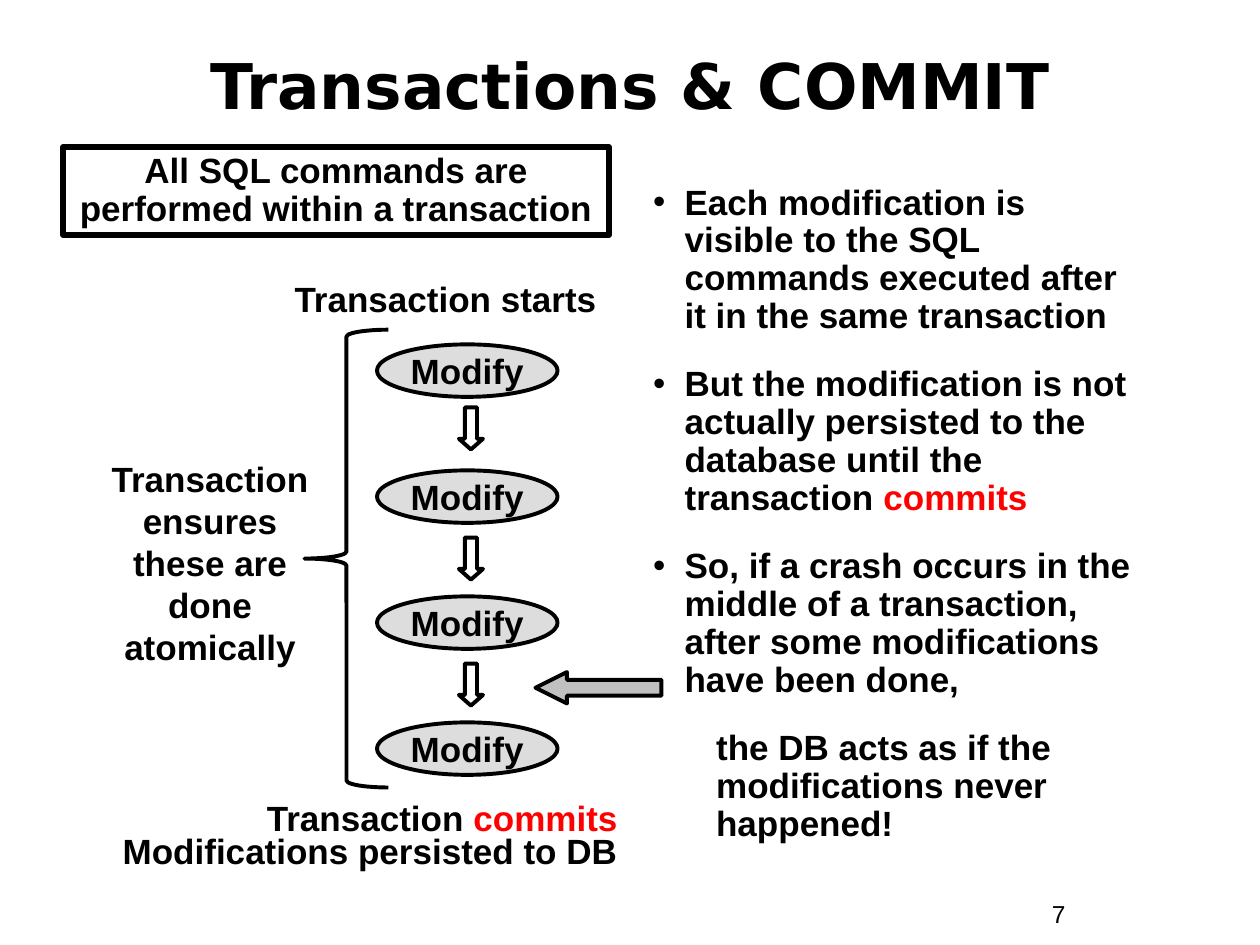
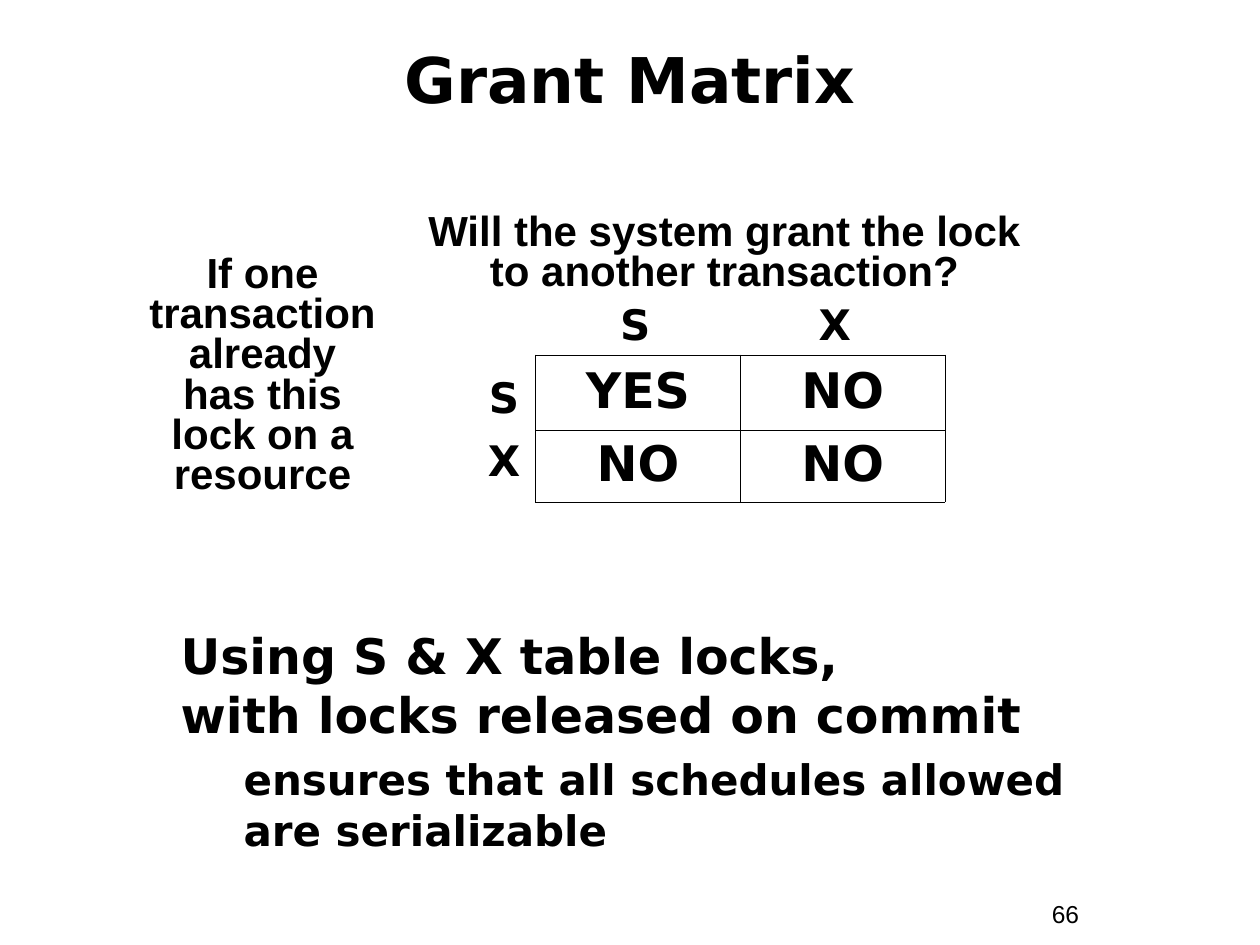
"""Build two slides on database transactions and lock granting."""
from lxml import etree
from pptx import Presentation, util as u
from pptx.dml.color import RGBColor
from pptx.enum import shapes, text
from pptx.oxml import ns

COLORS = {"ink": "000000", "accent": "FF0000", "step": "DDDDDD",
          "crash": "C0C0C0", "paper": "FFFFFF"}
SANS, DISPLAY = "Arial", "DejaVu Sans"
LEFT, CENTER, RIGHT = text.PP_ALIGN.LEFT, text.PP_ALIGN.CENTER, text.PP_ALIGN.RIGHT
TOP, MIDDLE = text.MSO_ANCHOR.TOP, text.MSO_ANCHOR.MIDDLE
COLUMNS = 120

COMMIT = {
    "title": "Transactions & COMMIT",
    "number": "7",
    "rule": "All SQL commands are performed within a transaction",
    "steps": ["Modify"] * 4,
    "start": "Transaction starts",
    "end": "Transaction *commits*\nModifications persisted to DB",
    "atomic": "Transaction ensures these are done\natomically",
    "points": [
        "Each modification is visible to the SQL commands executed after it "
        "in the same transaction",
        "But the modification is not actually persisted to the database until "
        "the transaction *commits*",
        "So, if a crash occurs in the middle of a transaction, after some "
        "modifications have been done,",
    ],
    "outcome": "the DB acts as if the modifications never happened!",
}
GRANT = {
    "title": "Grant Matrix",
    "number": "66",
    "locks": ["S", "X"],
    "answers": [["YES", "NO"], ["NO", "NO"]],
    "held": "If one transaction already has this lock on a resource",
    "question": "Will the system grant the lock to another transaction?",
    "claim": "Using S & X table locks,\nwith locks released on commit",
    "result": "ensures that all schedules allowed\nare serializable",
}

deck = Presentation()
deck.slide_width, deck.slide_height = u.Inches(10), u.Inches(7.5)
UNIT = deck.slide_width / COLUMNS


def grid(*cells):
    """Turn grid cells into slide lengths."""
    return [round(cell * UNIT) for cell in cells]


def color(name):
    """Look up a palette colour."""
    return RGBColor.from_string(COLORS[name])


def add_text(frame, words, size=20, font=SANS, bold=True, align=LEFT, spacing=1.0,
             before=0, margin=0, bullet=False, more=False):
    """Write one paragraph; *stars* mark accented words."""
    paragraph = frame.add_paragraph() if more else frame.paragraphs[0]
    properties = paragraph._p.get_or_add_pPr()
    properties.set("marL", str(u.Inches(margin)))
    properties.set("indent", str(u.Inches(-margin if bullet else 0)))
    if bullet:
        etree.SubElement(properties, ns.qn("a:buFont"), typeface=SANS)
        etree.SubElement(properties, ns.qn("a:buChar"), char="•")
    else:
        etree.SubElement(properties, ns.qn("a:buNone"))
    paragraph.alignment, paragraph.line_spacing = align, spacing
    paragraph.space_before = u.Pt(before)
    for part, phrase in enumerate(words.split("*")):
        for row, line in enumerate(phrase.split("\n")):
            if row:
                paragraph.add_line_break()
            if line:
                run = paragraph.add_run()
                run.text = line
                run.font.size, run.font.name, run.font.bold = u.Pt(size), font, bold
                run.font.color.rgb = color("accent" if part % 2 else "ink")


def prepare(frame, anchor=TOP, wrap=True):
    """Set how a frame holds its text."""
    frame.auto_size = text.MSO_AUTO_SIZE.NONE
    frame.word_wrap, frame.vertical_anchor = wrap, anchor
    return frame


def place(holder, cells):
    """Move a placeholder onto the grid and return its frame."""
    holder.left, holder.top, holder.width, holder.height = grid(*cells)
    return prepare(holder.text_frame)


def add_label(slide, cells, words, **style):
    """Add a text box on the grid."""
    add_text(prepare(slide.shapes.add_textbox(*grid(*cells)).text_frame), words, **style)


def add_figure(slide, kind, cells, fill=None, weight=2.25, adjust=()):
    """Add an outlined preset shape on the grid."""
    figure = slide.shapes.add_shape(kind, *grid(*cells))
    figure.shadow.inherit = False
    if fill:
        figure.fill.solid()
        figure.fill.fore_color.rgb = color(fill)
    else:
        figure.fill.background()
    figure.line.color.rgb, figure.line.width = color("ink"), u.Pt(weight)
    for index, value in enumerate(adjust):
        figure.adjustments[index] = value
    return figure


def start_slide(content, title_rows):
    """Add a slide with its title and number; return it and its body."""
    slide = deck.slides.add_slide(deck.slide_layouts[1])
    heading = place(slide.shapes.title, (4, 4, 112, title_rows))
    heading.vertical_anchor = MIDDLE
    add_text(heading, content["title"], size=36, font=DISPLAY, align=CENTER)
    add_label(slide, (99, 85, 11, 4), content["number"], size=14, bold=False)
    return slide, slide.placeholders[1]


def outline_cell(cell):
    """Draw thin borders round an unfilled table cell."""
    properties = cell._tc.get_or_add_tcPr()
    for side in ("a:lnL", "a:lnR", "a:lnT", "a:lnB"):
        border = etree.SubElement(properties, ns.qn(side), w=str(u.Pt(0.45)))
        ink = etree.SubElement(border, ns.qn("a:solidFill"))
        etree.SubElement(ink, ns.qn("a:srgbClr"), val=COLORS["ink"])
    cell.fill.background()


def build_commit():
    """Show the life of a transaction beside its guarantees."""
    preset = shapes.MSO_SHAPE
    slide, points = start_slide(COMMIT, 8)
    for index, step in enumerate(COMMIT["steps"]):
        oval = add_figure(slide, preset.OVAL, (35.9, 32.8 + 12 * index, 17.2, 5), "step")
        add_text(prepare(oval.text_frame, MIDDLE, False), step, align=CENTER)
    for top in (38.8, 51.2, 63.2):
        add_figure(slide, preset.DOWN_ARROW, (43.7, top, 2.3, 4), "paper",
                   adjust=(0.5, 0.44))
    add_figure(slide, preset.LEFT_BRACE, (29, 31.4, 8, 43.6))
    add_label(slide, (25, 25.8, 33, 5.3), COMMIT["start"], align=RIGHT)
    add_label(slide, (10, 76, 50, 7.7), COMMIT["end"], align=RIGHT, spacing=0.8)
    add_label(slide, (9, 43, 22, 21.2), COMMIT["atomic"], align=CENTER)
    rule = add_figure(slide, preset.RECTANGLE, (6, 14, 52, 8.4), weight=3)
    add_text(prepare(rule.text_frame), COMMIT["rule"], align=CENTER, spacing=0.9)
    add_figure(slide, preset.LEFT_ARROW, (51, 64, 12, 3), "crash", adjust=(0.5, 1))

    frame = place(points, (61, 17, 49, 64))
    for index, point in enumerate(COMMIT["points"]):
        add_text(frame, point, spacing=0.9, before=17.5 if index else 0, margin=0.25,
                 bullet=True, more=index > 0)
    add_text(frame, COMMIT["outcome"], spacing=0.9, before=17.5, margin=0.5, more=True)


def build_grant():
    """Show which locks can be held together."""
    slide, claim = start_slide(GRANT, 7)
    size = len(GRANT["locks"])
    matrix = slide.shapes.add_table(size, size, *grid(51, 33.8, 39, 14)).table
    matrix.first_row = matrix.horz_banding = False
    matrix.rows[0].height, matrix.rows[1].height = grid(7.2, 6.8)
    for row, answers in enumerate(GRANT["answers"]):
        for column, answer in enumerate(answers):
            cell = matrix.cell(row, column)
            outline_cell(cell)
            cell.vertical_anchor = MIDDLE
            add_text(cell.text_frame, answer, size=28, font=DISPLAY, align=CENTER,
                     spacing=0.9)
    for index, lock in enumerate(GRANT["locks"]):
        for cells in ((56 + 19 * index, 27.8, 9, 6), (45, 34.8 + 6 * index, 6, 6)):
            add_label(slide, cells, lock, size=24, font=DISPLAY, align=CENTER)
    add_label(slide, (13, 23.8, 24, 24.2), GRANT["held"], size=24, align=CENTER, spacing=0.8)
    add_label(slide, (39, 19.8, 60, 8.9), GRANT["question"], size=24, align=CENTER,
              spacing=0.8)
    frame = place(claim, (16, 59, 92, 23))
    add_text(frame, GRANT["claim"], size=28, font=DISPLAY)
    add_text(frame, GRANT["result"], size=24, font=DISPLAY, before=6, margin=0.5, more=True)


if __name__ == "__main__":
    build_commit()
    build_grant()
    deck.save("out.pptx")
